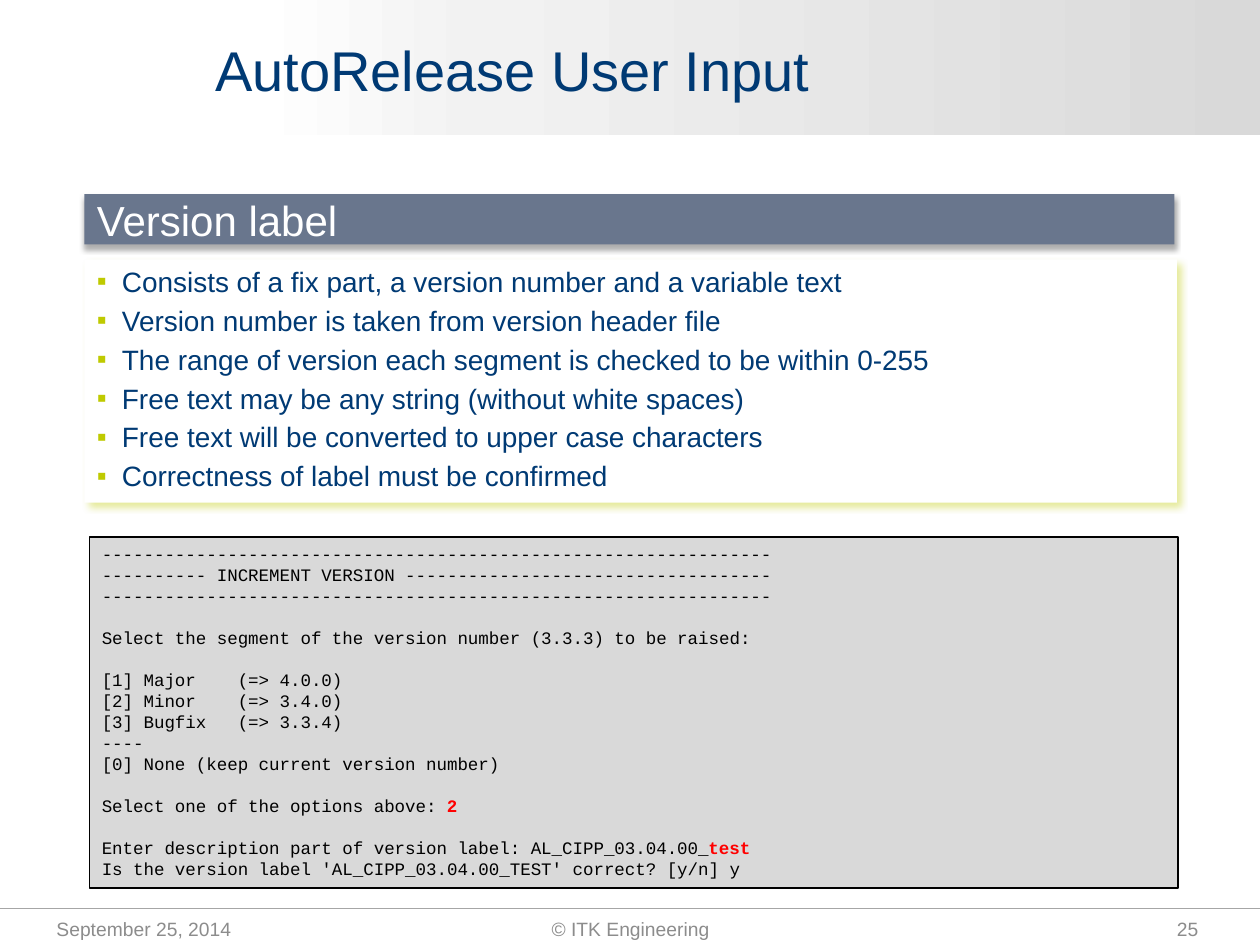
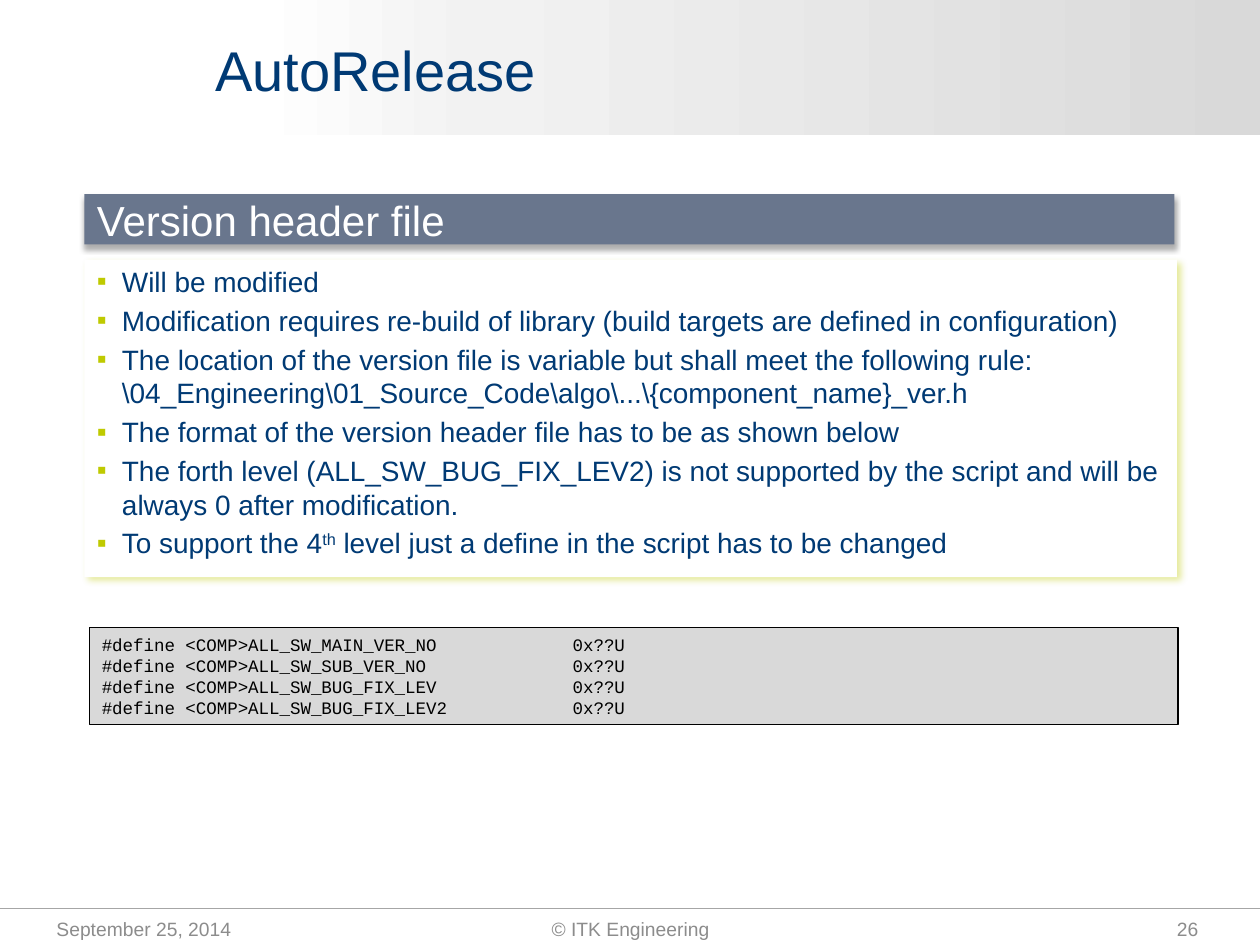
"""Build the two AutoRelease slides on version labels and version header files."""
from dataclasses import dataclass
from typing import NamedTuple

import lxml.etree
import pptx
import pptx.dml.color
import pptx.enum.shapes
import pptx.enum.text
import pptx.oxml
import pptx.oxml.ns
import pptx.util

RGBColor = pptx.dml.color.RGBColor
NAVY = RGBColor(0x00, 0x3A, 0x74)
SLATE = RGBColor(0x69, 0x76, 0x8D)
LIME = RGBColor(0xBF, 0xCA, 0x00)
WHITE = RGBColor(0xFF, 0xFF, 0xFF)
BLACK = RGBColor(0x00, 0x00, 0x00)
RED = RGBColor(0xFF, 0x00, 0x00)
PALE_GREY = RGBColor(0xF2, 0xF2, 0xF2)
LIGHT_GREY = RGBColor(0xD9, 0xD9, 0xD9)
RULE_GREY = RGBColor(0xA6, 0xA6, 0xA6)
FOOTER_GREY = RGBColor(0x8C, 0x8C, 0x8C)

SLIDE_WIDTH = pptx.util.Inches(10)
SLIDE_HEIGHT = pptx.util.Inches(7.5)
COLUMNS, ROWS = 100, 75

ALIGN = pptx.enum.text.PP_ALIGN
MIDDLE = pptx.enum.text.MSO_ANCHOR.MIDDLE
TOP = pptx.enum.text.MSO_ANCHOR.TOP
RECTANGLE = pptx.enum.shapes.MSO_SHAPE.RECTANGLE


class Area(NamedTuple):
    left: float
    top: float
    width: float
    height: float


class TextStyle(NamedTuple):
    font: str
    size: float
    color: RGBColor
    align: ALIGN = ALIGN.LEFT


class Shadow(NamedTuple):
    color: RGBColor
    opacity: int
    blur: float
    distance: float
    angle: int


class Typed(NamedTuple):
    """Text the user types at the console."""
    text: str


class Raised(NamedTuple):
    """Superscript text."""
    text: str


class FooterPart(NamedTuple):
    area: Area
    align: ALIGN


@dataclass(frozen=True)
class Topic:
    title: str
    page: int
    heading: str
    points: list
    points_rows: float
    code_blocks: list
    code_top: float
    code_rows: float


BAND = Area(0, -0.2, 100, 10.9)
BAND_STOPS = ((0, LIGHT_GREY), (62, PALE_GREY), (80, WHITE))
TITLE = Area(16.1, 1.3, 80.3, 8.3)
HEADING = Area(6.7, 15.4, 86.5, 4)
FOOTER_RULE_ROW = 72.1
FOOTER = (
    FooterPart(Area(3.5, 71.7, 23.3, 4), ALIGN.LEFT),
    FooterPart(Area(34.2, 71.7, 31.7, 4), ALIGN.CENTER),
    FooterPart(Area(72.8, 71.7, 23.3, 4), ALIGN.RIGHT),
)
TITLE_STYLE = TextStyle("Arial", 32, NAVY)
HEADING_STYLE = TextStyle("Arial", 24, WHITE)
POINT_STYLE = TextStyle("Arial", 16, NAVY)
CODE_STYLE = TextStyle("Courier New", 10, BLACK)
CODE_GAP = 12
HEADING_SHADOW = Shadow(BLACK, 32, 3.5, 2.2, 90)
POINTS_SHADOW = Shadow(LIME, 40, 4, 3, 45)

CONSOLE_RULE = "-" * 64
TOPICS = (
    Topic(
        title="AutoRelease User Input", page=25, heading="Version label",
        points=[
            ["Consists of a fix part, a version number and a variable text"],
            ["Version number is taken from version header file"],
            ["The range of version each segment is checked to be within 0-255"],
            ["Free text may be any string (without white spaces)"],
            ["Free text will be converted to upper case characters"],
            ["Correctness of label must be confirmed"],
        ],
        points_rows=19.3,
        code_blocks=[
            [[CONSOLE_RULE], ["---------- INCREMENT VERSION " + "-" * 35], [CONSOLE_RULE]],
            [["Select the segment of the version number (3.3.3) to be raised:"]],
            [["[1] Major    (=> 4.0.0)"],
             ["[2] Minor    (=> 3.4.0)"],
             ["[3] Bugfix   (=> 3.3.4)"],
             ["----"],
             ["[0] None (keep current version number)"]],
            [["Select one of the options above: ", Typed("2")]],
            [["Enter description part of version label: AL_CIPP_03.04.00_", Typed("test")],
             ["Is the version label 'AL_CIPP_03.04.00_TEST' correct? [y/n] y"]],
        ],
        code_top=42.6, code_rows=27.9,
    ),
    Topic(
        title="AutoRelease", page=26, heading="Version header file",
        points=[
            ["Will be modified"],
            ["Modification requires re-build of library (build targets are defined in configuration)"],
            ["The location of the version file is variable but shall meet the following rule:\n"
             "\\04_Engineering\\01_Source_Code\\algo\\...\\{component_name}_ver.h"],
            ["The format of the version header file has to be as shown below"],
            ["The forth level (ALL_SW_BUG_FIX_LEV2) is not supported by the script and will be "
             "always 0 after modification."],
            ["To support the 4", Raised("th"), " level just a define in the script has to be changed"],
        ],
        points_rows=25.2,
        code_blocks=[[
            ["#define <COMP>ALL_SW_MAIN_VER_NO             0x??U"],
            ["#define <COMP>ALL_SW_SUB_VER_NO              0x??U"],
            ["#define <COMP>ALL_SW_BUG_FIX_LEV             0x??U"],
            ["#define <COMP>ALL_SW_BUG_FIX_LEV2            0x??U"],
        ]],
        code_top=49.8, code_rows=7.7,
    ),
)


def across(columns: float) -> int:
    return round(SLIDE_WIDTH * columns / COLUMNS)


def down(rows: float) -> int:
    return round(SLIDE_HEIGHT * rows / ROWS)


def place(area: Area) -> tuple:
    return across(area.left), down(area.top), across(area.width), down(area.height)


def add_child(parent, tag: str, **attributes):
    child = lxml.etree.SubElement(parent, pptx.oxml.ns.qn(tag))
    for key, value in attributes.items():
        child.set(key, str(value))
    return child


def add_panel(slide, area: Area, fill: RGBColor):
    panel = slide.shapes.add_shape(RECTANGLE, *place(area))
    panel.fill.solid()
    panel.fill.fore_color.rgb = fill
    panel.line.fill.background()
    panel.shadow.inherit = False
    return panel


def cast_shadow(panel, shadow: Shadow) -> None:
    effects = panel._element.spPr.find(pptx.oxml.ns.qn("a:effectLst"))
    outer = add_child(effects, "a:outerShdw", blurRad=pptx.util.Pt(shadow.blur),
                      dist=pptx.util.Pt(shadow.distance), dir=shadow.angle * 60000,
                      algn="tl", rotWithShape=0)
    tint = add_child(outer, "a:srgbClr", val=shadow.color)
    add_child(tint, "a:alpha", val=shadow.opacity * 1000)


def prepare_frame(holder, anchor, top_inset: float = 0.5):
    frame = holder.text_frame
    frame.word_wrap = True
    frame.vertical_anchor = anchor
    frame.margin_top = down(top_inset)
    return frame


def add_bullet(paragraph) -> None:
    properties = paragraph._p.get_or_add_pPr()
    properties.set("marL", str(across(2)))
    properties.set("indent", str(-across(2)))
    add_child(add_child(properties, "a:buClr"), "a:srgbClr", val=LIME)
    add_child(properties, "a:buFont", typeface="Arial")
    add_child(properties, "a:buChar", char="▪")


def write(paragraph, pieces: list, style: TextStyle) -> None:
    paragraph.alignment = style.align
    paragraph.font.name = style.font
    paragraph.font.size = pptx.util.Pt(style.size)
    paragraph.font.color.rgb = style.color
    for piece in pieces:
        text = piece if isinstance(piece, str) else piece.text
        for number, line in enumerate(text.split("\n")):
            if number:
                paragraph.add_line_break()
            run = paragraph.add_run()
            run.text = line
            if isinstance(piece, Typed):
                run.font.bold = True
                run.font.color.rgb = RED
            elif isinstance(piece, Raised):
                run._r.get_or_add_rPr().set("baseline", "30000")


def next_paragraph(frame, first: bool):
    return frame.paragraphs[0] if first else frame.add_paragraph()


def add_label(slide, area: Area, text: str, style: TextStyle) -> None:
    label = slide.shapes.add_textbox(*place(area))
    write(prepare_frame(label, MIDDLE).paragraphs[0], [text], style)


def add_band(slide) -> None:
    band = add_panel(slide, BAND, WHITE)
    band.fill.gradient()
    band.fill.gradient_angle = 180
    stops = band._element.spPr.find(".//" + pptx.oxml.ns.qn("a:gsLst"))
    for stop in list(stops):
        stops.remove(stop)
    for position, color in BAND_STOPS:
        add_child(add_child(stops, "a:gs", pos=position * 1000), "a:srgbClr", val=color)


def add_footer(slide, page: int) -> None:
    rule = slide.shapes.add_connector(
        pptx.enum.shapes.MSO_CONNECTOR.STRAIGHT,
        0, down(FOOTER_RULE_ROW), SLIDE_WIDTH, down(FOOTER_RULE_ROW))
    rule.line.color.rgb = RULE_GREY
    rule.line.width = pptx.util.Pt(0.75)
    add_child(rule._element.spPr, "a:effectLst")
    for part, text in zip(FOOTER, ("September 25, 2014", "© ITK Engineering", str(page))):
        add_label(slide, part.area, text, TextStyle("Arial", 11, FOOTER_GREY, part.align))


def add_heading(slide, text: str) -> None:
    heading = add_panel(slide, HEADING, SLATE)
    cast_shadow(heading, HEADING_SHADOW)
    write(prepare_frame(heading, MIDDLE).paragraphs[0], [text], HEADING_STYLE)


def add_points(slide, topic: Topic) -> None:
    card = add_panel(slide, Area(6.7, 20.6, 86.7, topic.points_rows), WHITE)
    cast_shadow(card, POINTS_SHADOW)
    frame = prepare_frame(card, TOP, 0.4)
    for number, point in enumerate(topic.points):
        paragraph = next_paragraph(frame, number == 0)
        add_bullet(paragraph)
        if number:
            paragraph.space_before = pptx.util.Pt(3)
        write(paragraph, point, POINT_STYLE)


def add_code(slide, topic: Topic) -> None:
    console = add_panel(slide, Area(7.1, topic.code_top, 86.4, topic.code_rows), LIGHT_GREY)
    console.line.color.rgb = BLACK
    console.line.width = pptx.util.Pt(1)
    frame = prepare_frame(console, TOP)
    for block_number, block in enumerate(topic.code_blocks):
        for line_number, line in enumerate(block):
            paragraph = next_paragraph(frame, block_number == line_number == 0)
            if block_number and line_number == 0:
                paragraph.space_before = pptx.util.Pt(CODE_GAP)
            write(paragraph, line, CODE_STYLE)


def main() -> None:
    deck = pptx.Presentation()
    deck.slide_width, deck.slide_height = SLIDE_WIDTH, SLIDE_HEIGHT
    for topic in TOPICS:
        slide = deck.slides.add_slide(deck.slide_layouts[6])
        add_band(slide)
        add_label(slide, TITLE, topic.title, TITLE_STYLE)
        add_footer(slide, topic.page)
        add_heading(slide, topic.heading)
        add_points(slide, topic)
        add_code(slide, topic)
    deck.save("out.pptx")


if __name__ == "__main__":
    main()
